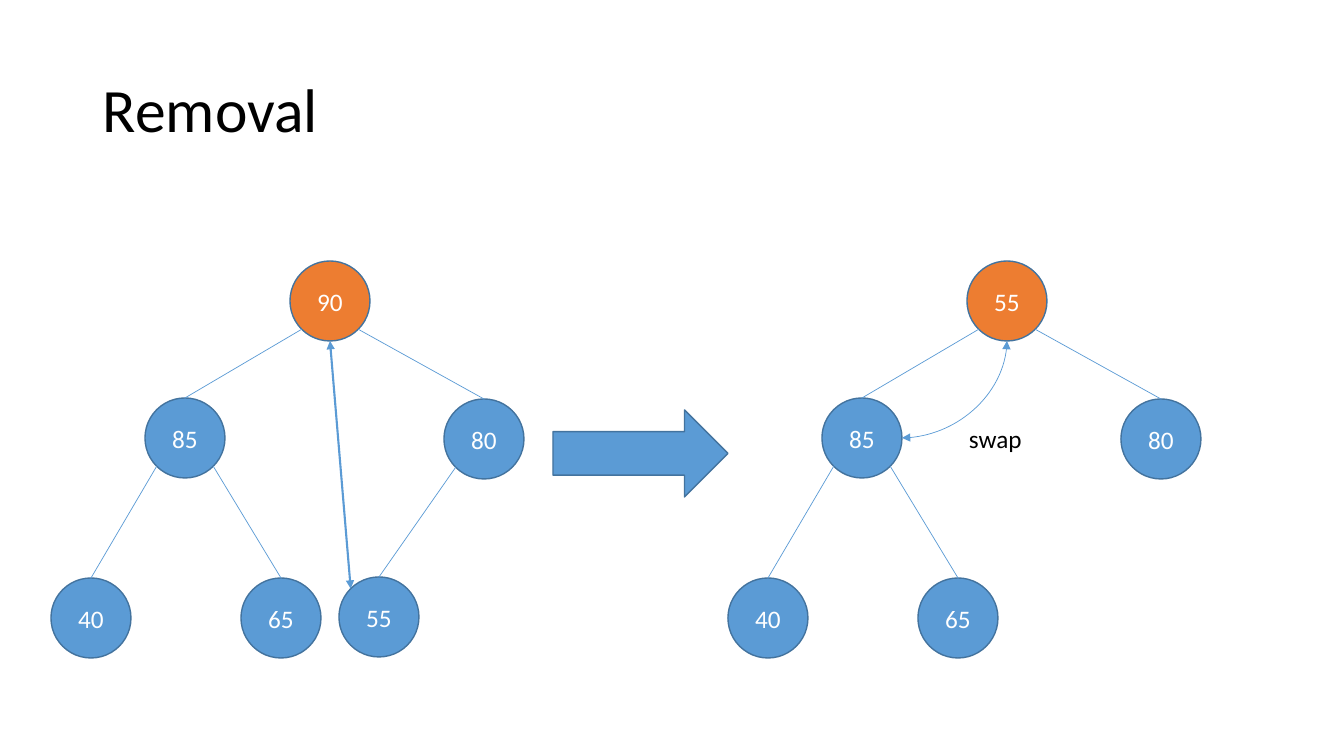
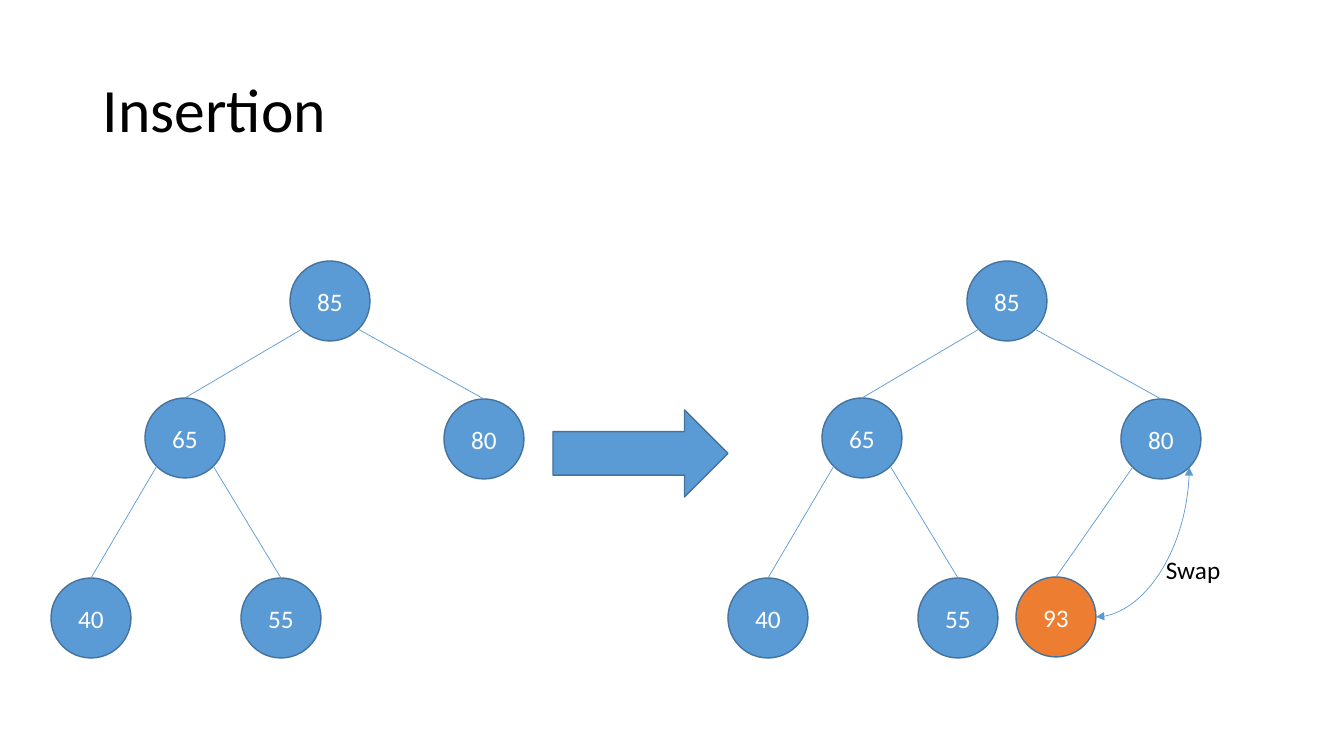
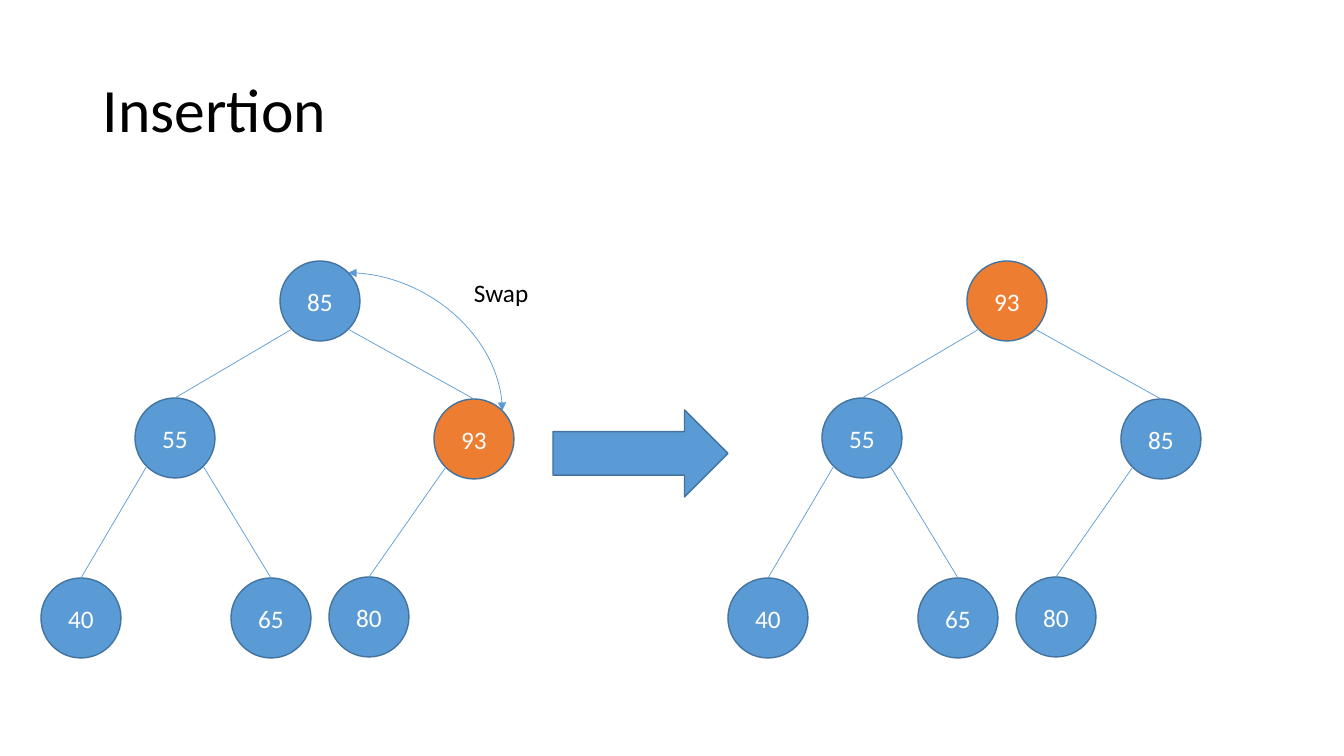
from math import sqrt

from lxml import etree
from pptx import Presentation
from pptx.dml.color import RGBColor
from pptx.enum.shapes import MSO_CONNECTOR, MSO_SHAPE
from pptx.enum.text import MSO_ANCHOR, MSO_AUTO_SIZE, PP_ALIGN
from pptx.oxml.ns import qn
from pptx.util import Emu, Pt

ELLIPSE, RIGHT_ARROW = MSO_SHAPE.OVAL, MSO_SHAPE.RIGHT_ARROW
STRAIGHT, CURVE = MSO_CONNECTOR.STRAIGHT, MSO_CONNECTOR.CURVE
MIDDLE, TOP = MSO_ANCHOR.MIDDLE, MSO_ANCHOR.TOP
LEFT, CENTER = PP_ALIGN.LEFT, PP_ALIGN.CENTER
FIT_SHAPE = MSO_AUTO_SIZE.SHAPE_TO_FIT_TEXT

COLORS = {"node": "5B9BD5", "active": "ED7D31", "outline": "43739E",
          "edge": "5B9BD5", "dark": "000000", "light": "FFFFFF"}
FONT = "Calibri"
TITLE = {"size": Pt(44), "color": "dark", "frame": {"word_wrap": True, "vertical_anchor": MIDDLE},
         "paragraph": {"alignment": LEFT, "line_spacing": 0.9}}
LABEL = {"size": Pt(18), "color": "dark",
         "frame": {"word_wrap": False, "vertical_anchor": TOP, "auto_size": FIT_SHAPE},
         "paragraph": {"alignment": LEFT}}
VALUE = {"size": Pt(18), "color": "light", "frame": {"word_wrap": True, "vertical_anchor": MIDDLE},
         "paragraph": {"alignment": CENTER}}

SLIDE_SIZE = (1344, 756)
TITLE_BOX = (93, 40, 1159, 146)
ARROW_BOX = (553, 410, 175, 87)
LABEL_SIZE = (76, 40)
TREE_TOP = 261
LEFT_TREE, SHIFTED_TREE, RIGHT_TREE = (51, TREE_TOP), (41, TREE_TOP), (728, TREE_TOP)

DIAMETER = 80
NODE_OFFSETS = {"root": (239, 0), "left": (94, 137), "right": (393, 138),
                "left.left": (0, 317), "left.right": (190, 317), "right.left": (288, 316)}
EDGES = [("root", "sw", "left"), ("left", "sw", "left.left"), ("root", "se", "right"),
         ("left", "se", "left.right"), ("right", "sw", "right.left")]
DIAGONAL = 1 / sqrt(2)
PORTS = {"n": (0, -1), "s": (0, 1), "e": (1, 0), "ne": (DIAGONAL, -DIAGONAL),
         "nw": (-DIAGONAL, -DIAGONAL), "se": (DIAGONAL, DIAGONAL), "sw": (-DIAGONAL, DIAGONAL)}

SLIDES = [
    {"title": "Removal",
     "trees": [
         {"origin": LEFT_TREE, "values": "90 85 80 40 65 55", "active": "root",
          "exchange": (("root", "s"), ("right.left", "nw"))},
         {"origin": RIGHT_TREE, "values": "55 85 80 40 65", "active": "root",
          "swap": (("left", "e"), ("root", "s"))}],
     "label": ("swap", 959, 418)},
    {"title": "Insertion",
     "trees": [
         {"origin": LEFT_TREE, "values": "85 65 80 40 55"},
         {"origin": RIGHT_TREE, "values": "85 65 80 40 55 93", "active": "right.left",
          "swap": (("right.left", "e"), ("right", "se"))}],
     "label": ("Swap", 1156, 549)},
    {"title": "Insertion",
     "trees": [
         {"origin": SHIFTED_TREE, "values": "85 55 93 40 65 80", "active": "right",
          "swap": (("root", "ne"), ("right", "ne"))},
         {"origin": RIGHT_TREE, "values": "93 55 85 40 65 80", "active": "root"}],
     "label": ("Swap", 464, 272)},
]

deck = Presentation()
SCALE = 914400 / 100.8


def emu(*pixels):
    return [Emu(round(pixel * SCALE)) for pixel in pixels]


def rgb(name):
    return RGBColor.from_string(COLORS[name])


def write(frame, text, style):
    for name, setting in style["frame"].items():
        setattr(frame, name, setting)
    paragraph = frame.paragraphs[0]
    for name, setting in style["paragraph"].items():
        setattr(paragraph, name, setting)
    run = paragraph.add_run()
    run.text = text
    run.font.name, run.font.size = FONT, style["size"]
    run.font.color.rgb = rgb(style["color"])


def add_text(slide, box, text, style):
    write(slide.shapes.add_textbox(*emu(*box)).text_frame, text, style)


def add_figure(slide, preset, box, fill):
    figure = slide.shapes.add_shape(preset, *emu(*box))
    figure.shadow.inherit = False
    figure.fill.solid()
    figure.fill.fore_color.rgb = rgb(fill)
    figure.line.color.rgb = rgb("outline")
    figure.line.width = Pt(1)
    return figure


def add_link(slide, start, end, kind=STRAIGHT, width=0.5, heads=False):
    link = slide.shapes.add_connector(kind, *emu(*start, *end))
    link.line.color.rgb = rgb("edge")
    link.line.width = Pt(width)
    properties = link._element.spPr
    if kind == CURVE:
        properties.find(qn("a:prstGeom")).set("prst", "curvedConnector2")
    if heads:
        for tip in ("a:headEnd", "a:tailEnd"):
            etree.SubElement(properties.find(qn("a:ln")), qn(tip), type="triangle")
    etree.SubElement(properties, qn("a:effectLst"))


def add_tree(slide, origin, values, active=None, exchange=None, swap=None):
    left, top = origin
    nodes = dict(zip(NODE_OFFSETS, values.split()))

    def corner(node):
        x, y = NODE_OFFSETS[node]
        return left + x, top + y

    def port(node, side):
        return [start + DIAMETER / 2 * (1 + shift)
                for start, shift in zip(corner(node), PORTS[side])]

    for node, value in nodes.items():
        fill = "active" if node == active else "node"
        circle = add_figure(slide, ELLIPSE, (*corner(node), DIAMETER, DIAMETER), fill)
        write(circle.text_frame, value, VALUE)
    for parent, side, child in EDGES:
        if child in nodes:
            add_link(slide, port(parent, side), port(child, "n"))
    if exchange:
        add_link(slide, *(port(*end) for end in exchange), width=1.5, heads=True)
    if swap:
        add_link(slide, *(port(*end) for end in swap), kind=CURVE, heads=True)


def add_step(title, trees, label):
    slide = deck.slides.add_slide(deck.slide_layouts[6])
    add_text(slide, TITLE_BOX, title, TITLE)
    for tree in trees:
        add_tree(slide, **tree)
    add_figure(slide, RIGHT_ARROW, ARROW_BOX, "node")
    caption, left, top = label
    add_text(slide, (left, top, *LABEL_SIZE), caption, LABEL)


deck.slide_width, deck.slide_height = emu(*SLIDE_SIZE)
for step in SLIDES:
    add_step(**step)
deck.save("out.pptx")
